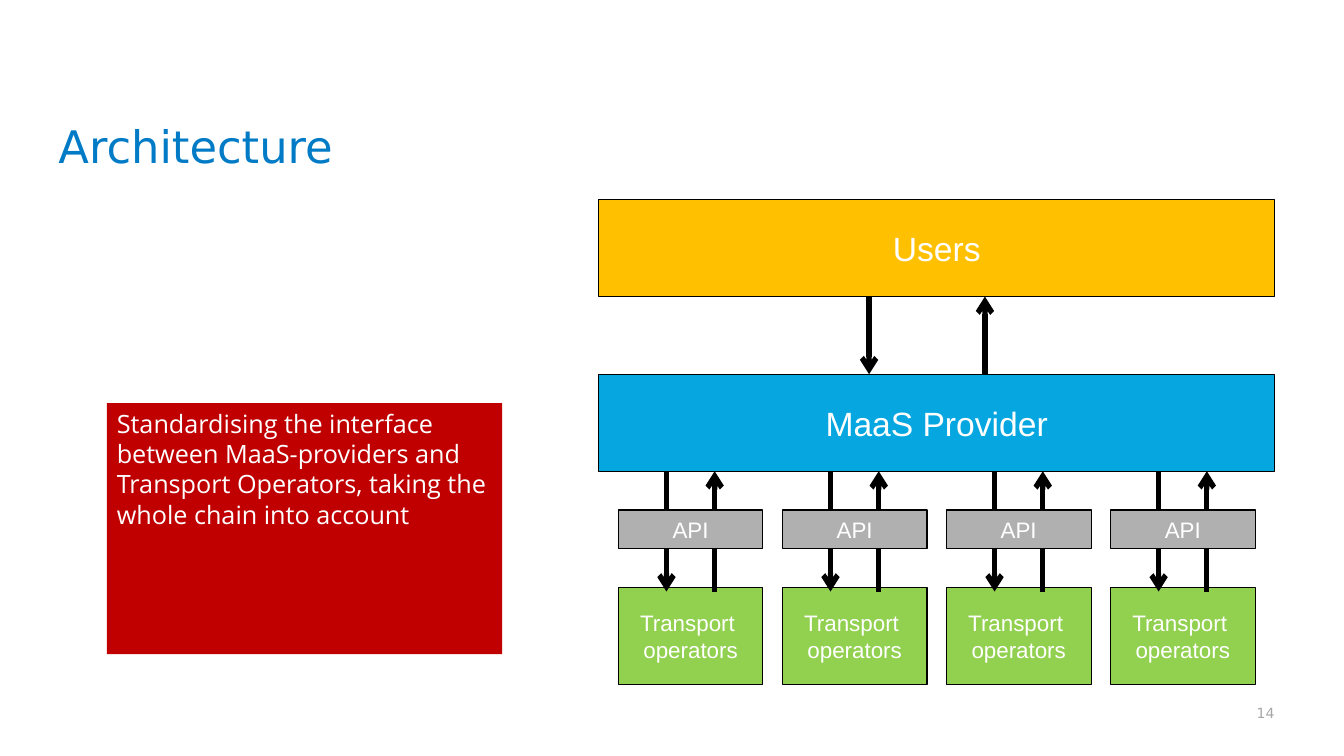
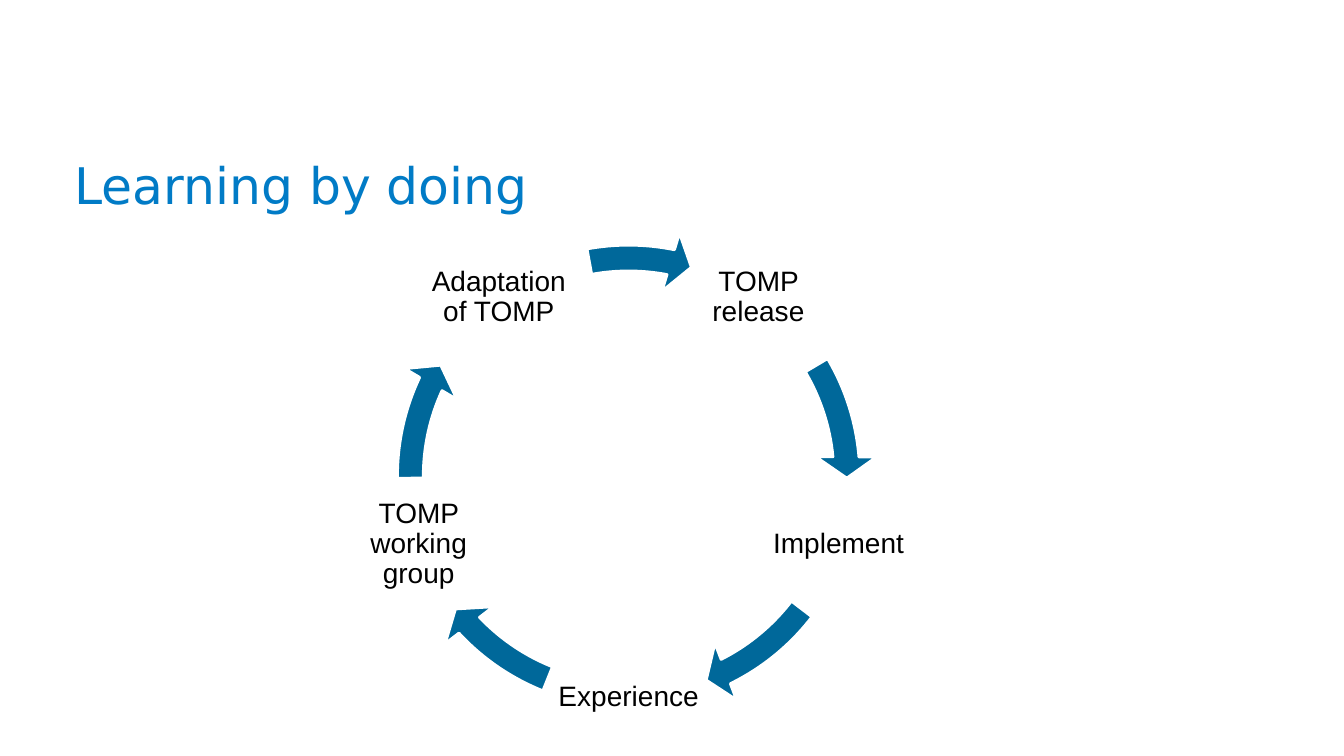
import math

import lxml.etree
import pptx
import pptx.dml.color
import pptx.enum.shapes
import pptx.enum.text
import pptx.oxml.ns
import pptx.util

Inches = pptx.util.Inches
Pt = pptx.util.Pt
Color = pptx.dml.color.RGBColor
Align = pptx.enum.text.PP_ALIGN
Anchor = pptx.enum.text.MSO_ANCHOR
Shape = pptx.enum.shapes.MSO_SHAPE
qn = pptx.oxml.ns.qn

TITLE = Color(0x01, 0x7B, 0xC6)
BLACK = Color(0, 0, 0)
WHITE = Color(255, 255, 255)
PALE = Color(0xA6, 0xA6, 0xA6)
GOLD = Color(0xFF, 0xC0, 0x00)
BLUE = Color(0x06, 0xA7, 0xE0)
GREY = Color(0xB0, 0xB0, 0xB0)
GREEN = Color(0x92, 0xD0, 0x50)
RED = Color(0xC0, 0x00, 0x00)
TEAL = Color(0x00, 0x68, 0x9A)


def write(shape, text, size=20, face="Arial", color=BLACK, align=Align.CENTER,
          anchor=Anchor.MIDDLE, inset=None, wrap=True, lead=None):
    """Fill a shape with text, one paragraph per line."""
    frame = shape.text_frame
    frame.text = text
    frame.word_wrap = wrap
    frame.vertical_anchor = anchor
    if inset is not None:
        frame.margin_left = frame.margin_right = Inches(inset)
        frame.margin_top = frame.margin_bottom = Inches(inset)
    for para in frame.paragraphs:
        para.alignment = align
        para.line_spacing = lead
        para.font.size = Pt(size)
        para.font.name = face
        para.font.color.rgb = color


deck = pptx.Presentation()
deck.slide_width = Inches(13.33)
deck.slide_height = Inches(7.5)

# Slides with their titles
slides = []
for text, left, top, size in [("Architecture", 0.53, 0.73, 32),
                              ("Learning by doing", 0.69, 1.15, 36)]:
    slide = deck.slides.add_slide(deck.slide_layouts[5])
    title = slide.shapes.title
    title.left, title.top = Inches(left), Inches(top)
    title.width, title.height = Inches(11.95), Inches(1.04)
    write(title, text, size=size, face="DejaVu Sans", color=TITLE,
          align=Align.LEFT, anchor=Anchor.BOTTOM, inset=0.05, lead=0.9)
    slides.append(slide)
stack, cycle = slides

# Architecture: layers on a grid of 14 columns and 12.5 rows
LEFT, TOP = 5.94, 1.98
COL, ROW = 6.7 / 14, 0.385
slots = [0.4 + 3.4 * n for n in range(4)]

boxes = [("Users", 0, 0, 14, 2.5, GOLD, 24),
         ("MaaS Provider", 0, 4.5, 14, 2.5, BLUE, 24)]
boxes += [("Transport \noperators", x, 10, 3, 2.5, GREEN, 16) for x in slots]
tabs = [("API", x, 8, 3, 1, GREY, 16) for x in slots]

flows = [(5.6, 2.5, 4.5), (8, 4.5, 2.5)]
for x in slots:
    flows += [(x + 1, 7, 10.1), (x + 2, 10.1, 7)]

for group, lines in [(boxes, flows), (tabs, [])]:
    for text, x, y, wide, high, fill, size in group:
        box = stack.shapes.add_shape(
            Shape.RECTANGLE, Inches(LEFT + x * COL), Inches(TOP + y * ROW),
            Inches(wide * COL), Inches(high * ROW))
        box.shadow.inherit = False
        box.fill.solid()
        box.fill.fore_color.rgb = fill
        box.line.color.rgb = BLACK
        box.line.width = Pt(0.75)
        write(box, text, size=size, color=WHITE, wrap=False)
    for x, start, end in lines:
        flow = stack.shapes.add_connector(
            pptx.enum.shapes.MSO_CONNECTOR.STRAIGHT,
            Inches(LEFT + x * COL), Inches(TOP + start * ROW),
            Inches(LEFT + x * COL), Inches(TOP + end * ROW))
        flow.line.color.rgb = BLACK
        flow.line.width = Pt(3.75)
        props = flow.element.spPr
        lxml.etree.SubElement(props.find(qn("a:ln")), qn("a:tailEnd"), type="arrow")
        lxml.etree.SubElement(props, qn("a:effectLst"))

note = stack.shapes.add_shape(Shape.RECTANGLE, Inches(1.06), Inches(4),
                              Inches(3.92), Inches(2.49))
note.shadow.inherit = False
note.fill.solid()
note.fill.fore_color.rgb = RED
note.line.fill.background()
write(note, "Standardising the interface between MaaS-providers and "
      "Transport Operators, taking the whole chain into account",
      size=18, face="Open Sans", color=WHITE, align=Align.LEFT, anchor=Anchor.TOP)

page = stack.shapes.add_textbox(Inches(12.04), Inches(6.99), Inches(0.6), Inches(0.17))
write(page, "14", size=10, face="DejaVu Sans", color=PALE, align=Align.RIGHT,
      anchor=Anchor.BOTTOM, inset=0, wrap=False)

# Learning by doing: five steps, each followed by a curved arrow
MIDX, MIDY, RADIUS = 6.235, 4.725, 2.19
RING = 4.93
steps = [("TOMP release", 1.31, 212.95, 197.65),
         ("Implement", 1.86, 38.14, 22.5),
         ("Experience", 1.59, 82.15, 67.06),
         ("TOMP working\vgroup", 1.31, 123, 107.69),
         ("Adaptation\vof TOMP", 1.79, 168.68, 155.78)]
HIGH = 1.1
for n, (text, wide, end, start) in enumerate(steps):
    angle = math.radians(72 * n - 54)
    label = cycle.shapes.add_textbox(
        Inches(MIDX + RADIUS * math.cos(angle) - wide / 2),
        Inches(MIDY + RADIUS * math.sin(angle) - HIGH / 2),
        Inches(wide), Inches(HIGH))
    write(label, text, inset=0.03, lead=0.9)
    arrow = cycle.shapes.add_shape(
        Shape.CIRCULAR_ARROW, Inches(MIDX - RING / 2), Inches(MIDY - RING / 2),
        Inches(RING), Inches(RING))
    for k, value in enumerate([0.052, 3.354, end, start, 0.061]):
        arrow.adjustments[k] = value
    arrow.shadow.inherit = False
    arrow.fill.solid()
    arrow.fill.fore_color.rgb = TEAL
    arrow.line.color.rgb = WHITE
    arrow.line.width = Pt(2)

deck.save("out.pptx")
